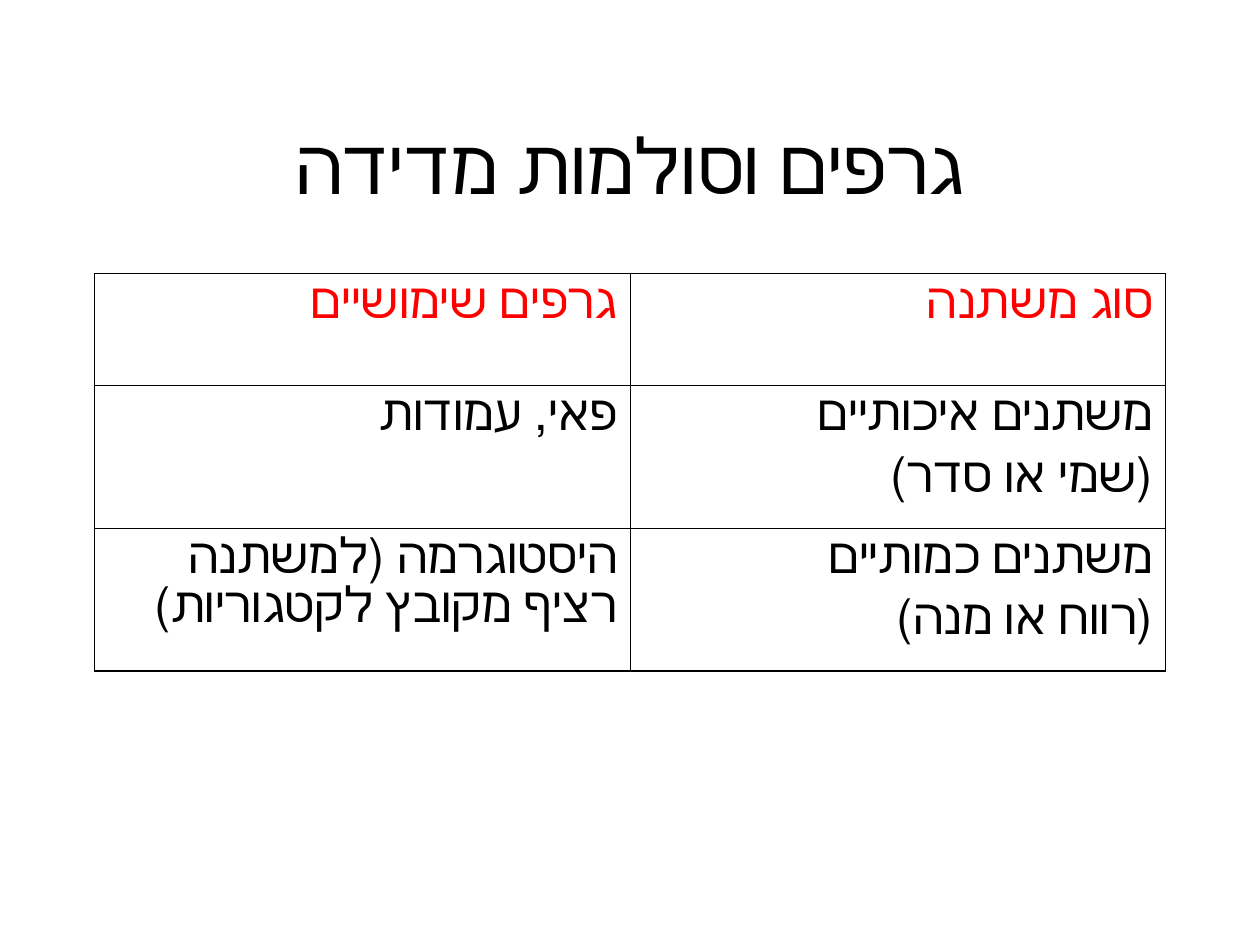
import pptx
import pptx.util
import pptx.dml.color
import pptx.enum.text
import pptx.oxml
import pptx.oxml.ns
from pptx.util import Inches, Pt

TITLE = "גרפים וסולמות מדידה"
ROWS = [
    (["גרפים שימושיים"], ["סוג משתנה"]),
    (["פאי, עמודות"], ["משתנים איכותיים ", "(שמי או סדר)"]),
    (["היסטוגרמה (למשתנה רציף מקובץ לקטגוריות)"], ["משתנים כמותיים ", "(רווח או מנה)"]),
]
ROW_HEIGHTS = [0.89, 1.13, 1.13]
COLUMN_WIDTH = 4.25
LEFT, TABLE_TOP, WIDTH = 0.75, 2.17, 8.5
OUTER, INNER = 1.08, 0.45
BLACK, RED = "000000", "FF0000"
ALIGN = pptx.enum.text.PP_ALIGN


def color(value):
    return pptx.dml.color.RGBColor.from_string(value)


def style(paragraph, font, size, fill, alignment):
    paragraph.font.name = font
    paragraph.font.size = Pt(size)
    paragraph.font.color.rgb = color(fill)
    paragraph.alignment = alignment


def add_border(cell, side, width):
    properties = cell._tc.get_or_add_tcPr()
    properties.append(pptx.oxml.parse_xml(
        f'<a:{side} {pptx.oxml.ns.nsdecls("a")} w="{Pt(width)}">'
        f'<a:solidFill><a:srgbClr val="{BLACK}"/></a:solidFill></a:{side}>'
    ))


def fill_cell(cell, lines, row, column):
    cell.text = "\n".join(lines)
    for paragraph in cell.text_frame.paragraphs:
        style(paragraph, "Times New Roman", 28, BLACK if row else RED, ALIGN.RIGHT)
        paragraph.space_before = Pt(7)
        paragraph._p.get_or_add_pPr().set("rtl", "1")
    outer_sides = {
        "lnL": column == 0,
        "lnR": column == len(ROWS[0]) - 1,
        "lnT": row == 0,
        "lnB": row == len(ROWS) - 1,
    }
    for side, is_outer in outer_sides.items():
        add_border(cell, side, OUTER if is_outer else INNER)
    cell.fill.background()


def add_title(page):
    box = page.shapes.add_textbox(Inches(LEFT), Inches(0.67), Inches(WIDTH), Inches(1.25))
    frame = box.text_frame
    frame.word_wrap = True
    frame.vertical_anchor = pptx.enum.text.MSO_ANCHOR.MIDDLE
    frame.text = TITLE
    style(frame.paragraphs[0], "Calibri", 44, BLACK, ALIGN.CENTER)


def add_scale_table(page):
    table = page.shapes.add_table(
        len(ROWS), len(ROWS[0]), Inches(LEFT), Inches(TABLE_TOP),
        Inches(WIDTH), Inches(sum(ROW_HEIGHTS)),
    ).table
    table.first_row = table.horz_banding = False
    for column in table.columns:
        column.width = Inches(COLUMN_WIDTH)
    for row, cells in enumerate(ROWS):
        table.rows[row].height = Inches(ROW_HEIGHTS[row])
        for column, lines in enumerate(cells):
            fill_cell(table.cell(row, column), lines, row, column)


def main():
    deck = pptx.Presentation()
    deck.slide_width, deck.slide_height = Inches(10), Inches(7.5)
    page = deck.slides.add_slide(deck.slide_layouts[6])
    add_title(page)
    add_scale_table(page)
    deck.save("out.pptx")


if __name__ == "__main__":
    main()
